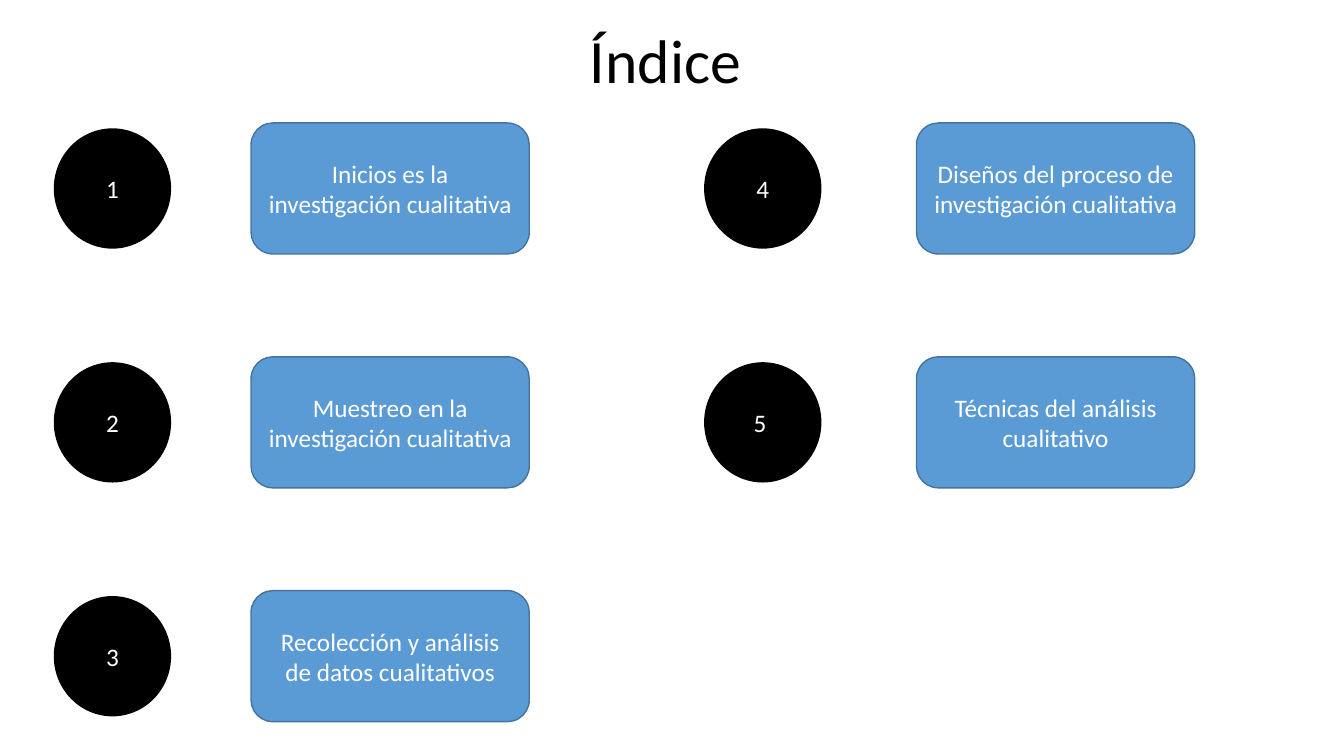
"""Build the index slide: five numbered topics in two columns."""
from dataclasses import dataclass

from pptx import Presentation
from pptx import util as u
from pptx.dml.color import RGBColor
from pptx.enum import shapes, text

PX = 9144
BLACK = RGBColor(0x00, 0x00, 0x00)
WHITE = RGBColor(0xFF, 0xFF, 0xFF)
BLUE = RGBColor(0x5B, 0x9B, 0xD5)
DARK_BLUE = RGBColor(0x43, 0x73, 0x9E)

ROWS = 3
ROW_STEP = 232
CIRCLE_LEFTS = (54, 699)
TOPIC_LEFTS = (249, 909)


@dataclass(frozen=True)
class Box:
    """Position and size in px."""
    left: int
    top: int
    width: int
    height: int

    def emu(self) -> tuple[u.Emu, ...]:
        """Return the box in EMU."""
        return tuple(u.Emu(side * PX) for side in
                     (self.left, self.top, self.width, self.height))


@dataclass(frozen=True)
class Style:
    """Outline form and colours of a shape."""
    kind: shapes.MSO_SHAPE
    fill: RGBColor
    line: RGBColor


@dataclass(frozen=True)
class Topic:
    """One entry of the index."""
    number: str
    title: str


CIRCLE = Style(shapes.MSO_SHAPE.OVAL, BLACK, BLACK)
CARD = Style(shapes.MSO_SHAPE.ROUNDED_RECTANGLE, BLUE, DARK_BLUE)

TOPICS = (
    Topic("1", "Inicios es la investigación cualitativa"),
    Topic("2", "Muestreo en la investigación cualitativa"),
    Topic("3", "Recolección y análisis de datos cualitativos"),
    Topic("4", "Diseños del proceso de investigación cualitativa"),
    Topic("5 ", "Técnicas del análisis cualitativo"),
)


def write(shape, content: str, *, size: int = 18, color: RGBColor = WHITE,
          line_spacing: float = 1.0) -> None:
    """Put centred text in a shape."""
    frame = shape.text_frame
    frame.word_wrap = True
    frame.vertical_anchor = text.MSO_ANCHOR.MIDDLE
    paragraph = frame.paragraphs[0]
    paragraph.alignment = text.PP_ALIGN.CENTER
    paragraph.line_spacing = line_spacing
    run = paragraph.add_run()
    run.text = content
    run.font.name = "Calibri"
    run.font.size = u.Pt(size)
    run.font.color.rgb = color


def add_label(slide, box: Box, style: Style, content: str) -> None:
    """Draw a filled shape with its text."""
    shape = slide.shapes.add_shape(style.kind, *box.emu())
    shape.shadow.inherit = False
    shape.fill.solid()
    shape.fill.fore_color.rgb = style.fill
    shape.line.color.rgb = style.line
    shape.line.width = u.Pt(1)
    write(shape, content)


def main() -> None:
    """Build and save the presentation."""
    presentation = Presentation()
    presentation.slide_width = u.Emu(1333 * PX)
    presentation.slide_height = u.Emu(750 * PX)
    slide = presentation.slides.add_slide(presentation.slide_layouts[6])

    title = slide.shapes.add_textbox(*Box(92, 13, 1150, 100).emu())
    write(title, "Índice ", size=44, color=BLACK, line_spacing=0.9)

    for index, topic in enumerate(TOPICS):
        column, row = divmod(index, ROWS)
        offset = row * ROW_STEP
        add_label(slide, Box(CIRCLE_LEFTS[column], 128 + offset, 115, 118),
                  CIRCLE, topic.number)
        add_label(slide, Box(TOPIC_LEFTS[column], 122 + offset, 276, 130),
                  CARD, topic.title)

    presentation.save("out.pptx")


if __name__ == "__main__":
    main()
